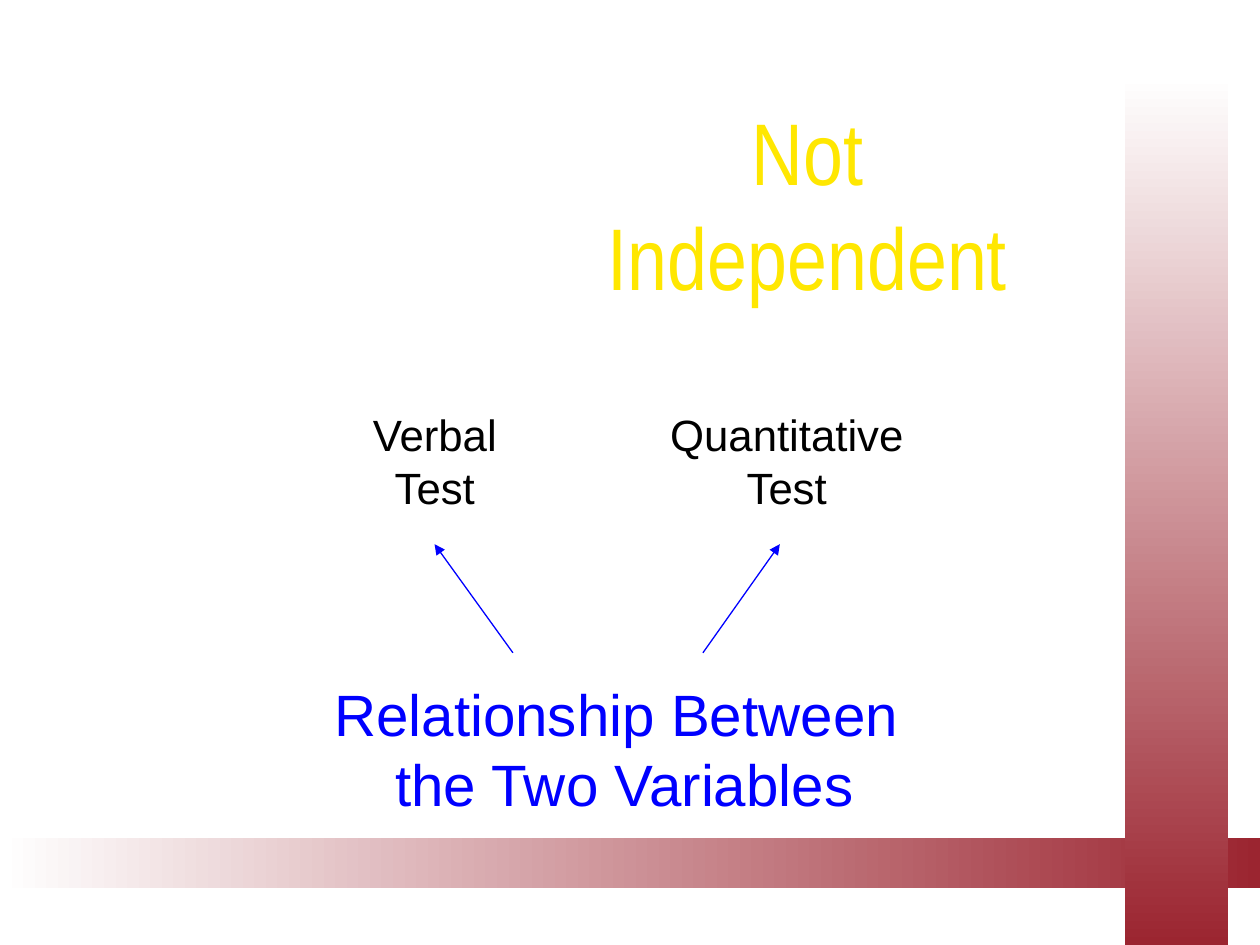
from dataclasses import dataclass

from lxml import etree
from pptx import Presentation
from pptx import util as u
from pptx.dml.color import RGBColor
from pptx.enum import shapes, text
from pptx.oxml.ns import qn


@dataclass(frozen=True)
class Theme:
    white: RGBColor = RGBColor(0xFF, 0xFF, 0xFF)
    crimson: RGBColor = RGBColor(0x9B, 0x25, 0x30)
    yellow: RGBColor = RGBColor(0xFF, 0xE7, 0x01)
    black: RGBColor = RGBColor(0, 0, 0)
    blue: RGBColor = RGBColor(0, 0, 0xFF)
    title_font: str = "Arial Narrow"
    body_font: str = "Arial"
    title_size: float = 50
    relationship_size: float = 33.3
    label_size: float = 25
    arrow_width: float = 0.75


THEME = Theme()


def add_gradient_bar(slide, left, top, width, height, angle, start=0.0):
    """Draw a bar fading from white to crimson; angle is counter-clockwise."""
    bar = slide.shapes.add_shape(
        shapes.MSO_SHAPE.RECTANGLE, u.Cm(left), u.Cm(top), u.Cm(width), u.Cm(height))
    bar.shadow.inherit = False
    bar.line.fill.background()
    bar.fill.gradient()
    bar.fill.gradient_angle = angle
    stops = zip(bar.fill.gradient_stops, (start, 1.0), (THEME.white, THEME.crimson))
    for stop, position, color in stops:
        stop.position = position
        stop.color.rgb = color


def add_text(slide, lines, left, top, width, height, *, size, color,
             font=THEME.body_font):
    box = slide.shapes.add_textbox(u.Cm(left), u.Cm(top), u.Cm(width), u.Cm(height))
    frame = box.text_frame
    frame.word_wrap = False
    frame.text = "\n".join(lines)
    for paragraph in frame.paragraphs:
        paragraph.alignment = text.PP_ALIGN.CENTER
        paragraph.font.name = font
        paragraph.font.size = u.Pt(size)
        paragraph.font.color.rgb = color


def add_arrow(slide, start_x, start_y, end_x, end_y):
    arrow = slide.shapes.add_connector(
        shapes.MSO_CONNECTOR.STRAIGHT,
        u.Cm(start_x), u.Cm(start_y), u.Cm(end_x), u.Cm(end_y))
    arrow.line.color.rgb = THEME.blue
    arrow.line.width = u.Pt(THEME.arrow_width)
    etree.SubElement(arrow.line._get_or_add_ln(), qn("a:tailEnd"), type="triangle")
    etree.SubElement(arrow._element.spPr, qn("a:effectLst"))


def main():
    presentation = Presentation()
    presentation.slide_width, presentation.slide_height = u.Cm(25.4), u.Cm(19.05)
    slide = presentation.slides.add_slide(presentation.slide_layouts[6])

    add_gradient_bar(slide, 0, 16.89, 25.4, 1.02, angle=0)
    add_gradient_bar(slide, 22.68, 0, 2.08, 19.05, angle=270, start=0.08)

    add_text(slide, ["Not", "Independent"], 10.31, 1.85, 11.94, 5.44,
             size=THEME.title_size, color=THEME.yellow, font=THEME.title_font)
    for variable, left, width in (("Verbal", 7.24, 3.05), ("Quantitative", 13.23, 5.26)):
        add_text(slide, [variable, "Test"], left, 8.1, width, 2.39,
                 size=THEME.label_size, color=THEME.black)
    add_text(slide, ["Relationship Between ", "the Two Variables"],
             6.43, 13.54, 12.32, 3.1,
             size=THEME.relationship_size, color=THEME.blue)

    for start_x, end_x in ((10.34, 8.76), (14.17, 15.72)):
        add_arrow(slide, start_x, 13.16, end_x, 10.97)

    presentation.save("out.pptx")


if __name__ == "__main__":
    main()
